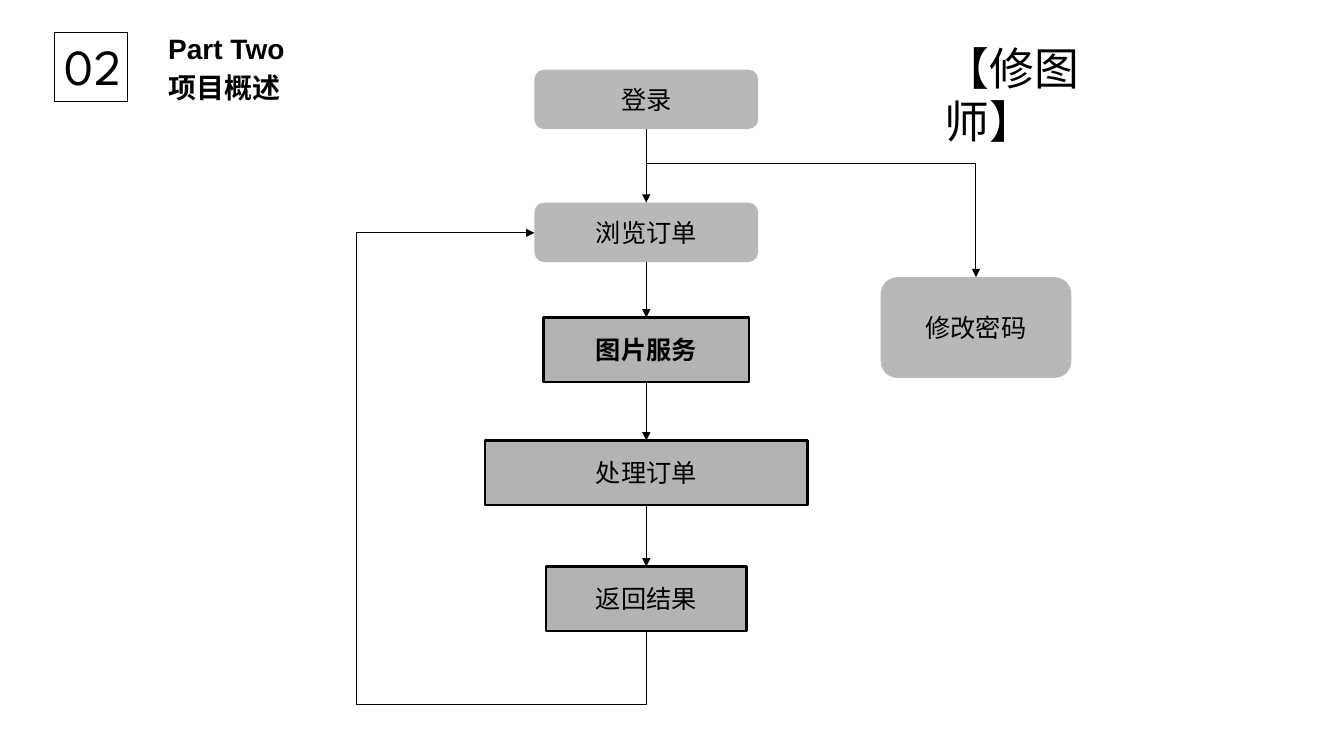
"""Builds the retoucher workflow slide on a grid of tenth-of-an-inch cells."""
from lxml.etree import SubElement
from pptx import Presentation
from pptx.dml.color import RGBColor
from pptx.enum.shapes import MSO_CONNECTOR, MSO_SHAPE
from pptx.enum.text import MSO_ANCHOR, PP_ALIGN
from pptx.oxml.ns import qn
from pptx.util import Inches, Pt

CELL = Inches(0.1)
COLORS = {name: RGBColor.from_string(value) for name, value in
          {"ink": "000000", "page": "B8B8B8", "action": "B3B3B3"}.items()}
AXIS = 64.1

deck = Presentation()
deck.slide_width, deck.slide_height = Inches(13.33), Inches(7.5)
slide = deck.slides.add_slide(deck.slide_layouts[6])


def write(holder, lines, size, font="League Spartan", bold=False, align=PP_ALIGN.CENTER, before=0):
    frame = holder.text_frame
    frame.word_wrap = True
    for index, line in enumerate(lines):
        paragraph = frame.paragraphs[0] if index == 0 else frame.add_paragraph()
        paragraph.alignment = align
        paragraph.space_before = Pt(before)
        run = paragraph.add_run()
        run.text = line
        run.font.size, run.font.name, run.font.bold = Pt(size), font, bold
        run.font.color.rgb = COLORS["ink"]


def style_arrow(arrow):
    arrow.line.color.rgb = COLORS["ink"]
    arrow.line.width = Pt(0.75)
    SubElement(arrow.line._get_or_add_ln(), qn("a:tailEnd"), type="triangle")
    SubElement(arrow._element.spPr, qn("a:effectLst"))


number_frame = slide.shapes.add_shape(
    MSO_SHAPE.RECTANGLE, *[int(n * CELL) for n in (5.4, 3.2, 7.2, 6.9)])
number_frame.shadow.inherit = False
number_frame.fill.background()
number_frame.line.color.rgb = COLORS["ink"]
number_frame.line.width = Pt(0.75)

headings = [
    ((15.7, 2.6, 41.4, 8.2), ["Part Two", "项目概述"], 20, "Arial", True, PP_ALIGN.LEFT, 4),
    ((4.9, 3, 8.7, 7.5), ["02"], 36, "League Spartan", False, PP_ALIGN.CENTER, 7),
    ((92.7, 3.5, 24, 6.4), ["【修图师】"], 32, "League Spartan", False, PP_ALIGN.LEFT, 0),
]
for place, *wording in headings:
    write(slide.shapes.add_textbox(*[int(n * CELL) for n in place]), *wording)

steps = [
    ("登录", AXIS, 6.9, 22.2, 5.9, "page"),
    ("浏览订单", AXIS, 20.1, 22.2, 5.9, "page"),
    ("图片服务", AXIS, 31.5, 20.4, 6.4, "action"),
    ("处理订单", AXIS, 43.7, 32, 6.4, "action"),
    ("返回结果", AXIS, 56.2, 19.9, 6.4, "action"),
    ("修改密码", 96.8, 27.5, 18.9, 10, "page"),
]
boxes = []
for label, center, top, width, height, kind in steps:
    outline = MSO_SHAPE.ROUNDED_RECTANGLE if kind == "page" else MSO_SHAPE.RECTANGLE
    box = slide.shapes.add_shape(
        outline, *[int(n * CELL) for n in (center - width / 2, top, width, height)])
    box.shadow.inherit = False
    box.fill.solid()
    box.fill.fore_color.rgb = COLORS[kind]
    if kind == "action":
        box.line.color.rgb = COLORS["ink"]
        box.line.width = Pt(2)
    else:
        box.line.fill.background()
    box.text_frame.vertical_anchor = MSO_ANCHOR.MIDDLE
    write(box, [label], 18, bold=label == "图片服务")
    boxes.append(box)

main_flow = boxes[:5]
for upper, lower in zip(main_flow, main_flow[1:]):
    arrow = slide.shapes.add_connector(MSO_CONNECTOR.STRAIGHT, 0, 0, 0, 0)
    arrow.begin_connect(upper, 2)
    arrow.end_connect(lower, 0)
    style_arrow(arrow)

detours = [
    ((AXIS, 12.8), (96.8, 27.5), 270, "bentConnector3", [23600]),
    ((AXIS, 62.6), (53, 23.1), 90, "bentConnector4", [-18400, 258800]),
]
for (x1, y1), (x2, y2), turn, preset, bends in detours:
    run_length, rise = abs(y2 - y1), abs(x2 - x1)
    left, top = (x1 + x2 - run_length) / 2, (y1 + y2 - rise) / 2
    arrow = slide.shapes.add_connector(
        MSO_CONNECTOR.ELBOW,
        *[int(n * CELL) for n in (left, top, left + run_length, top + rise)])
    properties = arrow._element.spPr
    transform = properties.find(qn("a:xfrm"))
    transform.set("rot", str(turn * 60000))
    transform.set("flipH", "1")
    geometry = properties.find(qn("a:prstGeom"))
    geometry.set("prst", preset)
    for index, bend in enumerate(bends, 1):
        SubElement(geometry.find(qn("a:avLst")), qn("a:gd"),
                   name=f"adj{index}", fmla=f"val {bend}")
    style_arrow(arrow)

deck.save("out.pptx")
